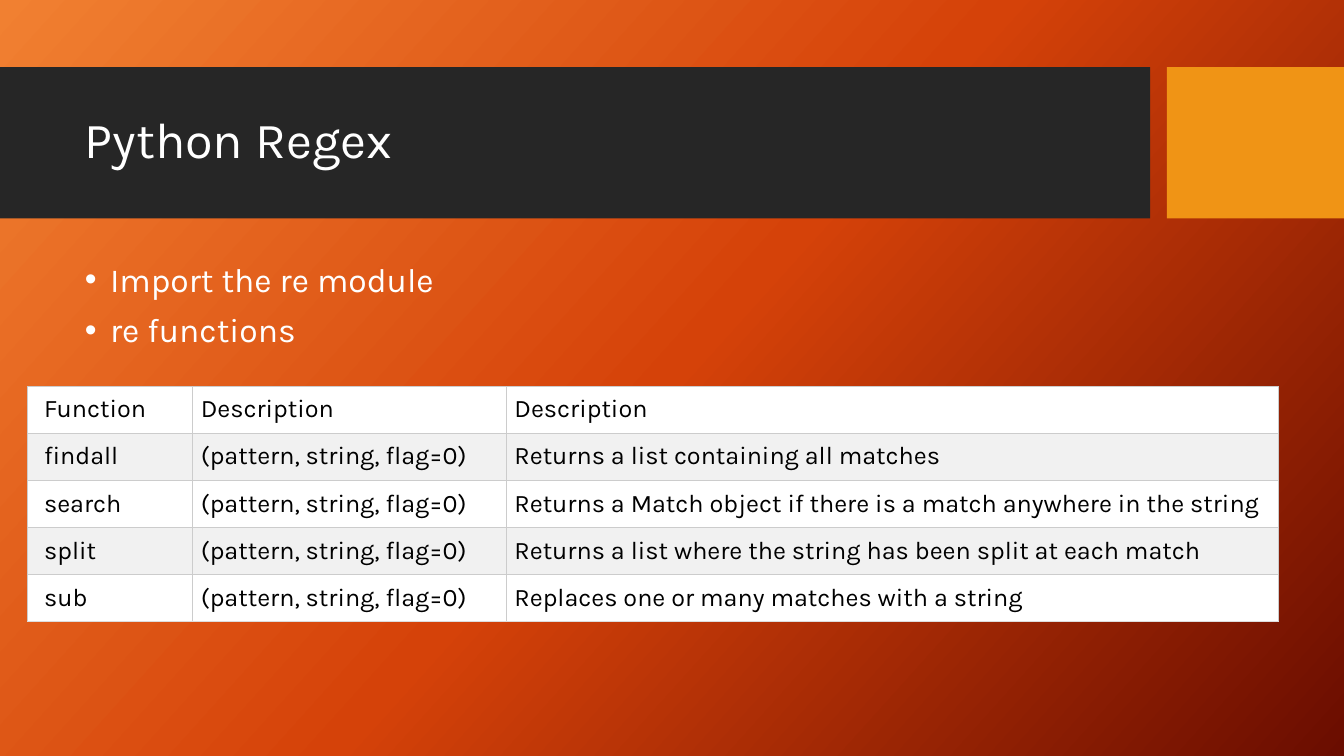
from copy import deepcopy
from dataclasses import dataclass

from lxml.etree import SubElement
from pptx import Presentation
from pptx.dml.color import RGBColor
from pptx.enum.shapes import MSO_SHAPE as Preset
from pptx.enum.text import MSO_ANCHOR as Anchor
from pptx.oxml.ns import qn
from pptx.util import Pt

FONT = "Karla"
WHITE, BLACK, BAND_GREY = "FFFFFF", "000000", "F1F1F1"
GRID_GREY, BOTTOM_GREY = "CCCCCC", "DDDDDD"
GRADIENT = [(0, "F18031"), (0.5, "D54209"), (1, "6A0D00")]
GRADIENT_ANGLE = 42
INDENT = 18
CELL_MARGIN = 6
ROW_HEIGHT = 33
COLUMN_WIDTHS = [118, 224, 552]
PARAMETERS = "(pattern, string, flag=0)"
FUNCTIONS = [
    ("findall", "Returns a list containing all matches"),
    ("search", "Returns a\u00a0Match object\u00a0if there is a match anywhere in the string"),
    ("split", "Returns a list where the string has been split at each match"),
    ("sub", "Replaces one or many matches with a string"),
]


@dataclass(frozen=True)
class Box:
    """A position and size in points."""
    left: float
    top: float
    width: float
    height: float

    def lengths(self) -> list[Pt]:
        """Return the four lengths in the order python-pptx takes them."""
        return [Pt(v) for v in (self.left, self.top, self.width, self.height)]


@dataclass(frozen=True)
class Block:
    """A plain filled rectangle."""
    box: Box
    color: str


@dataclass(frozen=True)
class TextArea:
    """A text box whose lines share one style."""
    box: Box
    lines: tuple[str, ...]
    size: float
    anchor: Anchor = Anchor.TOP
    bulleted: bool = False


BLOCKS = [
    Block(Box(0, 48, 821.5, 108), "262626"),
    Block(Box(833.5, 48, 126.5, 108), "F09415"),
]
TEXT_AREAS = [
    TextArea(Box(53.5, 59, 757, 85), ("Python Regex",), 36, Anchor.MIDDLE),
    TextArea(Box(53.5, 184.5, 757, 283.5), ("Import the re module", "re functions"),
             24, bulleted=True),
]


def rgb(color: str) -> RGBColor:
    """Turn a hex string into a colour."""
    return RGBColor.from_string(color)


def paint_background(slide) -> None:
    """Fill the slide with the three-stop gradient."""
    fill = slide.background.fill
    fill.gradient()
    fill.gradient_angle = 360 - GRADIENT_ANGLE
    stop_list = slide.element.find(".//" + qn("a:gsLst"))
    stop_list.insert(1, deepcopy(stop_list[0]))
    for stop, (position, color) in zip(fill.gradient_stops, GRADIENT):
        stop.position = position
        stop.color.rgb = rgb(color)


def add_block(slide, block: Block) -> None:
    """Draw a filled rectangle without outline."""
    rectangle = slide.shapes.add_shape(Preset.RECTANGLE, *block.box.lengths())
    rectangle.shadow.inherit = False
    rectangle.fill.solid()
    rectangle.fill.fore_color.rgb = rgb(block.color)
    rectangle.line.fill.background()


def add_run(paragraph, text: str, size: float, color: str) -> None:
    """Append a styled run to a paragraph."""
    run = paragraph.add_run()
    run.text = text
    run.font.name = FONT
    run.font.size = Pt(size)
    run.font.color.rgb = rgb(color)


def add_bullet(paragraph) -> None:
    """Give a paragraph a hanging bullet and space before it."""
    paragraph.space_before = Pt(10)
    properties = paragraph._p.get_or_add_pPr()
    properties.set("marL", str(Pt(INDENT)))
    properties.set("indent", str(-Pt(INDENT)))
    SubElement(properties, qn("a:buFont"), typeface="Arial")
    SubElement(properties, qn("a:buChar"), char="•")


def add_text_area(slide, area: TextArea) -> None:
    """Draw a text box, one paragraph per line."""
    frame = slide.shapes.add_textbox(*area.box.lengths()).text_frame
    frame.word_wrap = True
    frame.vertical_anchor = area.anchor
    for index, line in enumerate(area.lines):
        paragraph = frame.add_paragraph() if index else frame.paragraphs[0]
        paragraph.line_spacing = 0.9
        if area.bulleted:
            add_bullet(paragraph)
        add_run(paragraph, line, area.size, WHITE)


def add_borders(cell, bottom_color: str) -> None:
    """Outline a cell; borders must come before the cell's fill."""
    properties = cell._tc.get_or_add_tcPr()
    for side in "LRTB":
        border = SubElement(properties, qn(f"a:ln{side}"), w=str(Pt(0.75)))
        solid = SubElement(border, qn("a:solidFill"))
        color = bottom_color if side == "B" else GRID_GREY
        SubElement(solid, qn("a:srgbClr"), val=color)


def add_function_table(slide) -> None:
    """Draw the table of re functions with alternating row fills."""
    rows = [("Function", "Description", "Description")]
    rows += [(name, PARAMETERS, result) for name, result in FUNCTIONS]
    box = Box(19.5, 276, sum(COLUMN_WIDTHS), ROW_HEIGHT * len(rows))
    table = slide.shapes.add_table(len(rows), len(COLUMN_WIDTHS), *box.lengths()).table
    table.first_row = table.horz_banding = False
    for column, width in zip(table.columns, COLUMN_WIDTHS):
        column.width = Pt(width)
    for r, texts in enumerate(rows):
        for c, text in enumerate(texts):
            cell = table.cell(r, c)
            add_borders(cell, BOTTOM_GREY if r == len(rows) - 1 else GRID_GREY)
            cell.fill.solid()
            cell.fill.fore_color.rgb = rgb(BAND_GREY if r % 2 else WHITE)
            cell.margin_left = Pt(CELL_MARGIN if c else 2 * CELL_MARGIN)
            cell.margin_right = cell.margin_top = cell.margin_bottom = Pt(CELL_MARGIN)
            add_run(cell.text_frame.paragraphs[0], text, 18, BLACK)


def main() -> None:
    """Build the slide and save it."""
    deck = Presentation()
    deck.slide_width, deck.slide_height = Pt(960), Pt(540)
    slide = deck.slides.add_slide(deck.slide_layouts[6])
    paint_background(slide)
    for block in BLOCKS:
        add_block(slide, block)
    for area in TEXT_AREAS:
        add_text_area(slide, area)
    add_function_table(slide)
    deck.save("out.pptx")


main()
